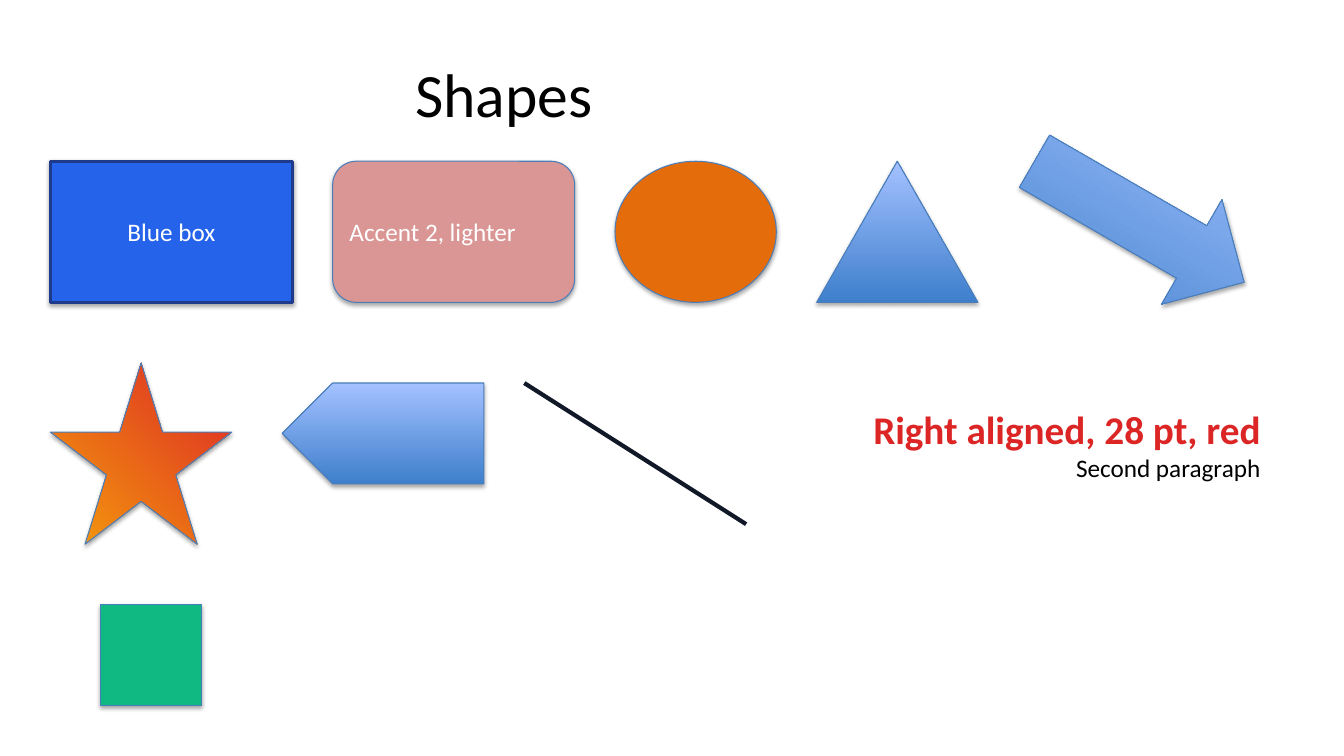
import pptx
import pptx.dml.color
import pptx.enum.shapes
import pptx.enum.text
import pptx.oxml
import pptx.oxml.ns
import pptx.util

Inches = pptx.util.Inches
Pt = pptx.util.Pt
SHAPE = pptx.enum.shapes.MSO_SHAPE
ALIGN = pptx.enum.text.PP_ALIGN
MIDDLE = pptx.enum.text.MSO_ANCHOR.MIDDLE

FONT = "Calibri"
BLUE_GRADIENT = ("3E7FCC", "A4C1FF")
OUTLINE = "4A7EBB"
SHADOW = (
    f'<a:effectLst {pptx.oxml.ns.nsdecls("a")}>'
    '<a:outerShdw blurRad="40000" dist="23000" dir="5400000" rotWithShape="0">'
    '<a:srgbClr val="000000"><a:alpha val="35000"/></a:srgbClr>'
    "</a:outerShdw></a:effectLst>"
)


def color(value):
    return pptx.dml.color.RGBColor.from_string(value)


def style_shape(shape, fill, angle=90, line=OUTLINE, line_width=0.75):
    """Fill with one colour or a pair of gradient colours; add outline and shadow."""
    if isinstance(fill, str):
        shape.fill.solid()
        shape.fill.fore_color.rgb = color(fill)
    else:
        shape.fill.gradient()
        shape.fill.gradient_angle = angle
        for stop, value in zip(shape.fill.gradient_stops, fill):
            stop.color.rgb = color(value)
    shape.line.color.rgb = color(line)
    shape.line.width = Pt(line_width)
    shape._element.spPr.append(pptx.oxml.parse_xml(SHADOW))


def add_preset(page, kind, left, top, width, height, fill, **style):
    shape = page.shapes.add_shape(
        kind, Inches(left), Inches(top), Inches(width), Inches(height))
    style_shape(shape, fill, **style)
    return shape


def write(para, text, size, value, align, bold=False):
    para.text = text
    para.alignment = align
    para.font.name = FONT
    para.font.size = Pt(size)
    para.font.bold = bold
    para.font.color.rgb = color(value)


def add_title(page, left, top, width, height):
    title = page.shapes.title
    title.left, title.top = Inches(left), Inches(top)
    title.width, title.height = Inches(width), Inches(height)
    title.text_frame.vertical_anchor = MIDDLE
    write(title.text_frame.paragraphs[0], "Shapes", 44, "000000", ALIGN.CENTER)


def add_top_row(page, left, top, height, gap=0.4):
    wide, narrow = 2.4, 1.6

    # Labelled boxes
    blue_box = add_preset(page, SHAPE.RECTANGLE, left, top, wide, height,
                          "2563EB", line="1E3A8A", line_width=2)
    left += wide + gap
    accent_box = add_preset(page, SHAPE.ROUNDED_RECTANGLE, left, top, wide, height,
                            "D99694")
    for box, label, align in ((blue_box, "Blue box", ALIGN.CENTER),
                              (accent_box, "Accent 2, lighter", ALIGN.LEFT)):
        box.text_frame.vertical_anchor = MIDDLE
        write(box.text_frame.paragraphs[0], label, 18, "FFFFFF", align)

    # Ellipse, triangle and tilted arrow
    left += wide + gap
    add_preset(page, SHAPE.OVAL, left, top, narrow, height, "E46C0A")
    left += narrow + gap
    add_preset(page, SHAPE.ISOSCELES_TRIANGLE, left, top, narrow, height, BLUE_GRADIENT)
    left += narrow + gap
    arrow = add_preset(page, SHAPE.RIGHT_ARROW, left, top, wide, 1.2, BLUE_GRADIENT)
    arrow.rotation = 30


def add_middle_row(page, left, top):
    add_preset(page, SHAPE.STAR_5_POINT, left, top, 1.8, 1.8,
               ("F59E0B", "DC2626"), angle=45)

    # Pentagon pointing left
    pentagon = add_preset(page, SHAPE.PENTAGON, left + 2.3, top + 0.2, 2, 1,
                          BLUE_GRADIENT)
    pentagon._element.spPr.xfrm.set("flipH", "1")

    # Diagonal line
    line = page.shapes.add_connector(
        pptx.enum.shapes.MSO_CONNECTOR.STRAIGHT,
        Inches(left + 4.7), Inches(top + 0.2), Inches(left + 6.9), Inches(top + 1.6))
    line.line.color.rgb = color("111827")
    line.line.width = Pt(3)
    line._element.spPr.append(pptx.oxml.parse_xml(
        f'<a:effectLst {pptx.oxml.ns.nsdecls("a")}/>'))


def add_caption(page, left, top, width, height):
    box = page.shapes.add_textbox(
        Inches(left), Inches(top), Inches(width), Inches(height))
    frame = box.text_frame
    frame.word_wrap = True
    frame.auto_size = pptx.enum.text.MSO_AUTO_SIZE.SHAPE_TO_FIT_TEXT
    frame.vertical_anchor = MIDDLE
    write(frame.paragraphs[0], "Right aligned, 28 pt, red", 28, "DC2626",
          ALIGN.RIGHT, bold=True)
    write(frame.add_paragraph(), "Second paragraph", 18, "000000", ALIGN.RIGHT)


def add_green_square(page, left, top, side):
    right, bottom = left + side, top + side
    builder = page.shapes.build_freeform(Inches(left), Inches(top))
    corners = ((right, top), (right, bottom), (left, bottom))
    builder.add_line_segments([(Inches(x), Inches(y)) for x, y in corners], close=True)
    style_shape(builder.convert_to_shape(), "10B981")


def main():
    deck = pptx.Presentation()
    deck.slide_width, deck.slide_height = Inches(13.33), Inches(7.5)
    page = deck.slides.add_slide(deck.slide_layouts.get_by_name("Title Only"))
    add_title(page, 0.5, 0.3, 9, 1.25)
    add_top_row(page, 0.5, 1.6, 1.4)
    add_middle_row(page, 0.5, 3.6)
    add_caption(page, 7.8, 3.97, 4.8, 0.87)
    add_green_square(page, 1, 6, 1)
    deck.save("out.pptx")


if __name__ == "__main__":
    main()
